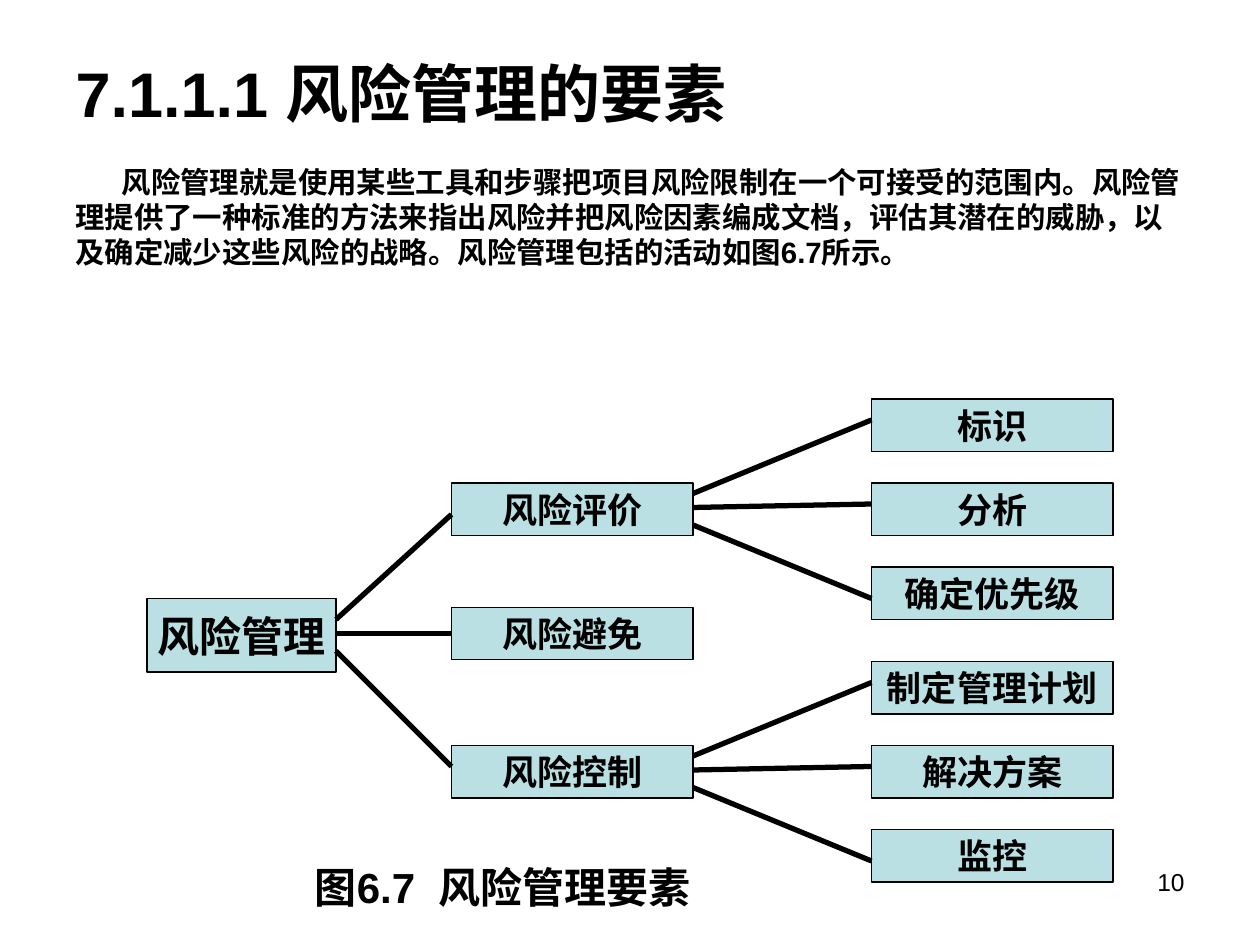
from lxml import etree
from pptx import Presentation
from pptx.dml.color import RGBColor
from pptx.enum.shapes import MSO_CONNECTOR, MSO_SHAPE
from pptx.enum.text import MSO_ANCHOR, MSO_AUTO_SIZE, PP_ALIGN
from pptx.oxml.ns import qn
from pptx.util import Pt

RECTANGLE = MSO_SHAPE.RECTANGLE
STRAIGHT = MSO_CONNECTOR.STRAIGHT
TOP, MIDDLE = MSO_ANCHOR.TOP, MSO_ANCHOR.MIDDLE
LEFT, CENTER, RIGHT = PP_ALIGN.LEFT, PP_ALIGN.CENTER, PP_ALIGN.RIGHT
NO_FIT = MSO_AUTO_SIZE.NONE
LEFT_SIDE = 1
TITLE_ONLY = 5


class RiskPage:
    font = "Arial"
    colours = {"ink": "000000", "node": "BBE0E3"}

    def __init__(self, deck):
        self.page = deck.slides.add_slide(deck.slide_layouts[TITLE_ONLY])

    def colour(self, name):
        return RGBColor.from_string(self.colours[name])

    def set_text(self, shape, text, size, align=LEFT, anchor=TOP, bold=True, wrap=True):
        frame = shape.text_frame
        frame.text = text
        frame.word_wrap = wrap
        frame.auto_size = NO_FIT
        frame.vertical_anchor = anchor
        para = frame.paragraphs[0]
        para.alignment = align
        for span in para.runs:
            span.font.name = self.font
            span.font.size = Pt(size)
            span.font.bold = bold
            span.font.color.rgb = self.colour("ink")
        return para

    def title(self, text, left, top, width, height, size):
        title = self.page.shapes.title
        title.left, title.top = Pt(left), Pt(top)
        title.width, title.height = Pt(width), Pt(height)
        self.set_text(title, text, size, anchor=MIDDLE)

    def text(self, text, left, top, width, height, size, indent=0, **style):
        box = self.page.shapes.add_textbox(Pt(left), Pt(top), Pt(width), Pt(height))
        para = self.set_text(box, text, size, **style)
        if indent:
            para._p.get_or_add_pPr().set("indent", str(Pt(indent)))

    def node(self, text, left, top, width=138, height=30, size=20):
        node = self.page.shapes.add_shape(RECTANGLE, Pt(left), Pt(top), Pt(width), Pt(height))
        node.shadow.inherit = False
        node.fill.solid()
        node.fill.fore_color.rgb = self.colour("node")
        node.line.color.rgb = self.colour("ink")
        node.line.width = Pt(0.75)
        self.set_text(node, text, size, CENTER, MIDDLE, wrap=False)
        return node

    def link(self, x1, y1, x2, y2):
        link = self.page.shapes.add_connector(STRAIGHT, Pt(x1), Pt(y1), Pt(x2), Pt(y2))
        link.line.color.rgb = self.colour("ink")
        link.line.width = Pt(3)
        etree.SubElement(link._element.spPr, qn("a:effectLst"))
        return link


def main():
    deck = Presentation()
    deck.slide_width, deck.slide_height = Pt(720), Pt(540)
    page = RiskPage(deck)

    page.title("7.1.1.1 风险管理的要素", 36, 21.6, 648, 62.64, 36)
    page.text(
        "风险管理就是使用某些工具和步骤把项目风险限制在一个可接受的范围内。"
        "风险管理提供了一种标准的方法来指出风险并把风险因素编成文档，"
        "评估其潜在的威胁，以及确定减少这些风险的战略。"
        "风险管理包括的活动如图6.7所示。",
        36, 90, 648, 126, 16.8, indent=26.5)

    root_right, branch_left, branch_right, leaf_left = 192, 258, 396, 498
    page.node("风险管理", 84, 342, 108, 42, 24)

    branches = [
        ("风险评价", 276, 354, 294, ["标识", "分析", "确定优先级"]),
        ("风险避免", 347, 362, 362, []),
        ("风险控制", 426, 372, 438, ["制定管理计划", "解决方案", "监控"]),
    ]
    leaf_steps = [(-48, 6, -36), (0, 14, 12), (48, 24, 66)]
    for name, top, start, end, leaves in branches:
        branch = page.node(name, branch_left, top)
        link = page.link(root_right, start, branch_left, end)
        if end == top + 15:
            link.end_connect(branch, LEFT_SIDE)
        for leaf, (step, leave, arrive) in zip(leaves, leaf_steps):
            page.node(leaf, leaf_left, top + step)
            page.link(branch_right, top + leave, leaf_left, top + arrive)

    page.text("图6.7  风险管理要素", 172.8, 488.9, 240.5, 36, 24, wrap=False)
    page.text("10", 516, 492, 168, 37.5, 14, align=RIGHT, bold=False)
    deck.save("out.pptx")


if __name__ == "__main__":
    main()
